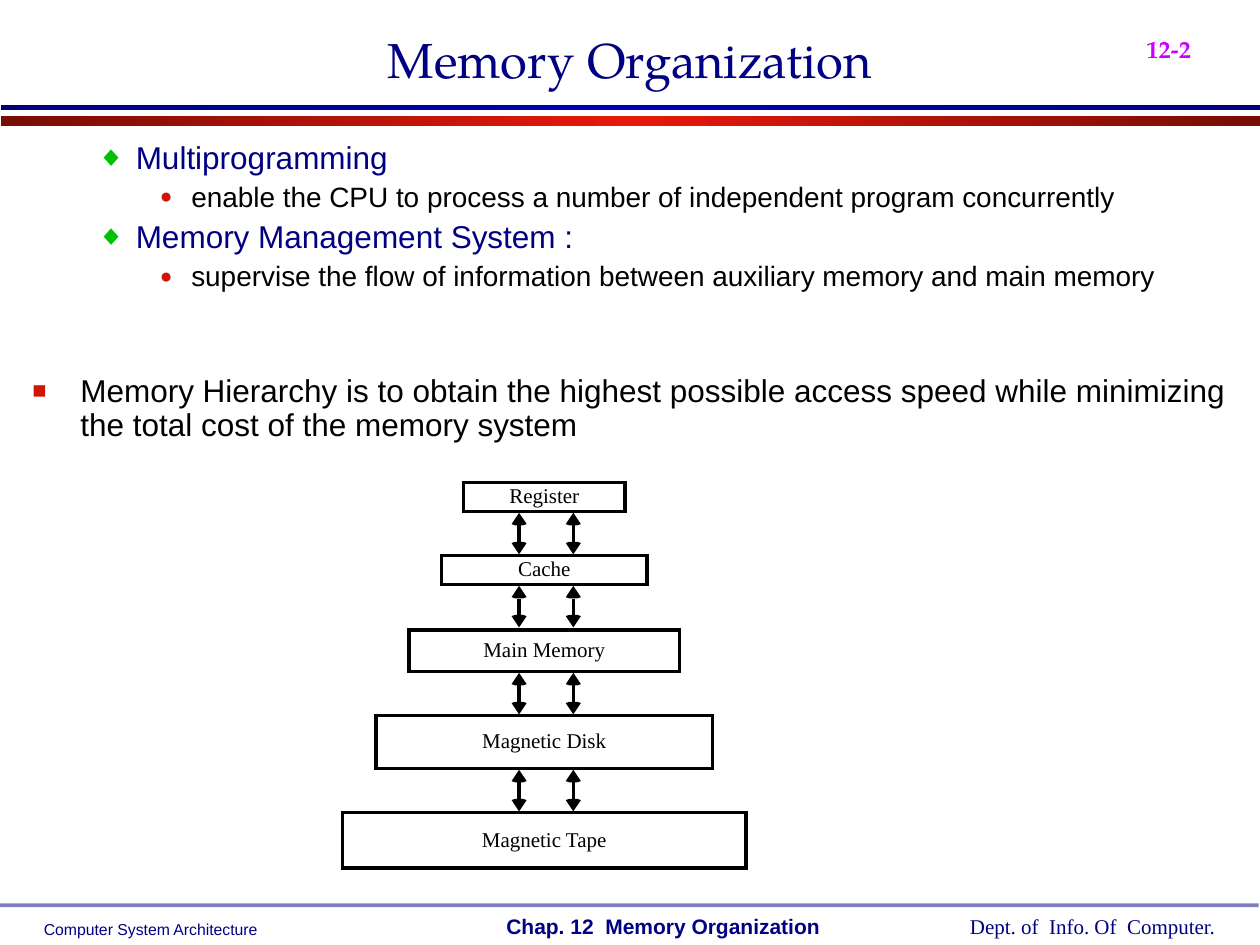
from copy import deepcopy

from lxml.etree import SubElement
from pptx import Presentation
from pptx.dml.color import RGBColor
from pptx.enum.shapes import MSO_CONNECTOR, MSO_SHAPE
from pptx.enum.text import MSO_ANCHOR, MSO_AUTO_SIZE, PP_ALIGN
from pptx.oxml.ns import qn
from pptx.util import Inches, Pt

THEME = {
    "navy": "000082", "black": "000000", "page": "CC00FF",
    "green": "00C000", "red": "D01608",
    "sans": "Arial", "serif": "Times New Roman", "display": "TeX Gyre Pagella",
    "title": 28, "number": 24, "topic": 18, "detail": 16, "label": 12, "course": 9,
}

TITLE = "Memory Organization"
PAGE_NUMBER = "12-2"
SYSTEMS = [
    ("topic", "Multiprogramming"),
    ("detail", "enable the CPU to process a number of independent program concurrently"),
    ("topic", "Memory Management System :"),
    ("detail", "supervise the flow of information between auxiliary memory and main memory"),
]
HIERARCHY = [("point", "Memory Hierarchy is to obtain the highest possible access speed "
                       "while minimizing the total cost of the memory system")]

# name, top, width, height
MEMORY_LEVELS = [
    ("Register", 3.83, 1.28, 0.23),
    ("Cache", 4.41, 1.63, 0.23),
    ("Main Memory", 5, 2.15, 0.33),
    ("Magnetic Disk", 5.68, 2.67, 0.42),
    ("Magnetic Tape", 6.45, 3.2, 0.44),
]
LEVELS_CENTER = 4.32
ARROW_COLUMNS = (4.12, 4.55)
ARROW_LENGTH, HEAD_LENGTH = 0.33, 0.1
# head outline as (across, back from the tip), with a slightly domed base
HEAD_OUTLINE = [(0, 0), (0.06, 0.09), (0.03, 0.1), (-0.03, 0.1), (-0.06, 0.09)]

# text, position, format
FOOTERS = [
    ("Computer System Architecture", (0.25, 7.25, 1.9, 0.25),
     dict(font="sans", size="course")),
    ("Chap. 12  Memory Organization", (3.92, 7.2, 2.69, 0.3),
     dict(font="sans", size="label", bold=True)),
    ("Dept. of  Info. Of  Computer.", (7.6, 7.2, 2.16, 0.3),
     dict(font="serif", size="label")),
]

# position, gradient colours
TITLE_RULES = [
    ((0.01, 0.92, 9.99, 0.08), ("770D05", "E71909", "770D05")),
    ((0.01, 0.83, 9.99, 0.04), ("00007F", "0000B6", "00007F")),
]

OUTLINE = {
    "point": dict(size="topic", color="black", level=0, space=4.5,
                  bullet=("■", "red", 75, 0.38, 0.38)),
    "topic": dict(size="topic", color="navy", level=1, space=4.5,
                  bullet=("◆", "green", 90, 0.81, 0.31)),
    "detail": dict(size="detail", color="black", level=2, space=4,
                   bullet=("●", "red", 75, 1.25, 0.25)),
}


def rgb(name):
    return RGBColor.from_string(THEME.get(name, name))


def inches(position):
    return [Inches(length) for length in position]


def add_bullet(paragraph, char, color, percent, margin, hang):
    props = paragraph._p.get_or_add_pPr()
    props.set("marL", str(Inches(margin)))
    props.set("indent", str(-Inches(hang)))
    tint = SubElement(props, qn("a:buClr"))
    SubElement(tint, qn("a:srgbClr"), val=THEME[color])
    SubElement(props, qn("a:buSzPct"), val=str(percent * 1000))
    SubElement(props, qn("a:buFont"), typeface=THEME["sans"])
    SubElement(props, qn("a:buChar"), char=char)


def write(paragraph, text, *, font="sans", size="label", color="navy", bold=False,
          align=PP_ALIGN.LEFT, level=0, space=0, line=None, bullet=None, baseline=None):
    if bullet:
        add_bullet(paragraph, *bullet)
    paragraph.level = level
    paragraph.alignment = align
    paragraph.space_before = Pt(space)
    if line:
        paragraph.line_spacing = line
    run = paragraph.add_run()
    run.text = text
    run.font.name = THEME[font]
    run.font.size = Pt(THEME[size])
    run.font.bold = bold
    run.font.color.rgb = rgb(color)
    if baseline:
        run.font._element.set("baseline", str(baseline * 1000))


def add_frame(slide, position, wrap=True):
    frame = slide.shapes.add_textbox(*inches(position)).text_frame
    frame.word_wrap = wrap
    if not wrap:
        frame.auto_size = MSO_AUTO_SIZE.SHAPE_TO_FIT_TEXT
    return frame


def add_outline(slide, position, items):
    frame = add_frame(slide, position)
    for index, (kind, text) in enumerate(items):
        paragraph = frame.add_paragraph() if index else frame.paragraphs[0]
        style = OUTLINE[kind] if index else {**OUTLINE[kind], "space": 0}
        write(paragraph, text, line=0.9, **style)


def add_box(slide, position):
    box = slide.shapes.add_shape(MSO_SHAPE.RECTANGLE, *inches(position))
    box.shadow.inherit = False
    box.line.fill.background()
    return box


def add_title_rule(slide, position, colors):
    rule = add_box(slide, position)
    rule.fill.gradient()
    rule.fill.gradient_angle = 0
    stops = rule._element.spPr.find(".//" + qn("a:gsLst"))
    stops.append(deepcopy(stops[0]))
    for stop, color, place in zip(rule.fill.gradient_stops, colors, (0, 0.5, 1)):
        stop.color.rgb = rgb(color)
        stop.position = place


def add_footer_rule(slide):
    rule = add_box(slide, (0, 7.17, 9.99, 0.03))
    rule.fill.solid()
    rule.fill.fore_color.rgb = rgb("navy")
    color = rule._element.spPr.find(".//" + qn("a:srgbClr"))
    SubElement(color, qn("a:alpha"), val="50000")


def add_arrow_head(slide, x, tip, back):
    """Draw a head whose base lies below (back=1) or above (back=-1) its tip."""
    start, *rest = [(Inches(x + across), Inches(tip + back * along))
                    for across, along in HEAD_OUTLINE]
    builder = slide.shapes.build_freeform(*start)
    builder.add_line_segments(rest, close=True)
    head = builder.convert_to_shape()
    head.shadow.inherit = False
    head.fill.solid()
    head.fill.fore_color.rgb = rgb("black")
    head.line.fill.background()


def add_transfer_arrow(slide, x, top):
    bottom = top + ARROW_LENGTH
    add_arrow_head(slide, x, bottom, -1)
    add_arrow_head(slide, x, top, 1)
    shaft = slide.shapes.add_connector(
        MSO_CONNECTOR.STRAIGHT, *inches((x, top + HEAD_LENGTH, x, bottom - HEAD_LENGTH)))
    shaft.line.color.rgb = rgb("black")
    shaft.line.width = Pt(2)
    SubElement(shaft._element.spPr, qn("a:effectLst"))


def add_memory_levels(slide):
    for index, (name, top, width, height) in enumerate(MEMORY_LEVELS):
        box = add_box(slide, (LEVELS_CENTER - width / 2, top, width, height))
        box.fill.background()
        box.line.color.rgb = rgb("black")
        box.line.width = Pt(2)
        SubElement(box.line._get_or_add_ln(), qn("a:miter"), lim="800000")
        frame = box.text_frame
        frame.margin_top = frame.margin_bottom = 0
        frame.vertical_anchor = MSO_ANCHOR.MIDDLE
        write(frame.paragraphs[0], name, font="serif", color="black",
              align=PP_ALIGN.CENTER, line=0.9)
        if index < len(MEMORY_LEVELS) - 1:
            for x in ARROW_COLUMNS:
                add_transfer_arrow(slide, x, top + height + 0.01)


def main():
    deck = Presentation()
    deck.slide_width, deck.slide_height = Inches(10), Inches(7.5)
    slide = deck.slides.add_slide(deck.slide_layouts[5])

    title = slide.shapes.title
    title.left, title.top, title.width, title.height = inches((0.75, 0, 8.5, 0.75))
    title.text_frame.vertical_anchor = MSO_ANCHOR.BOTTOM
    write(title.text_frame.paragraphs[0], TITLE, font="display", size="title",
          align=PP_ALIGN.CENTER)

    for position, colors in TITLE_RULES:
        add_title_rule(slide, position, colors)
    add_footer_rule(slide)
    for text, position, style in FOOTERS:
        write(add_frame(slide, position, wrap=False).paragraphs[0], text, **style)
    write(add_frame(slide, (9, 0, 1.08, 0.56)).paragraphs[0], PAGE_NUMBER,
          font="display", size="number", color="page", bold=True, baseline=-25)

    add_outline(slide, (0.17, 1.08, 9.5, 1.4), SYSTEMS)
    add_outline(slide, (0.16, 2.93, 9.83, 0.65), HIERARCHY)
    add_memory_levels(slide)
    deck.save("out.pptx")


if __name__ == "__main__":
    main()
